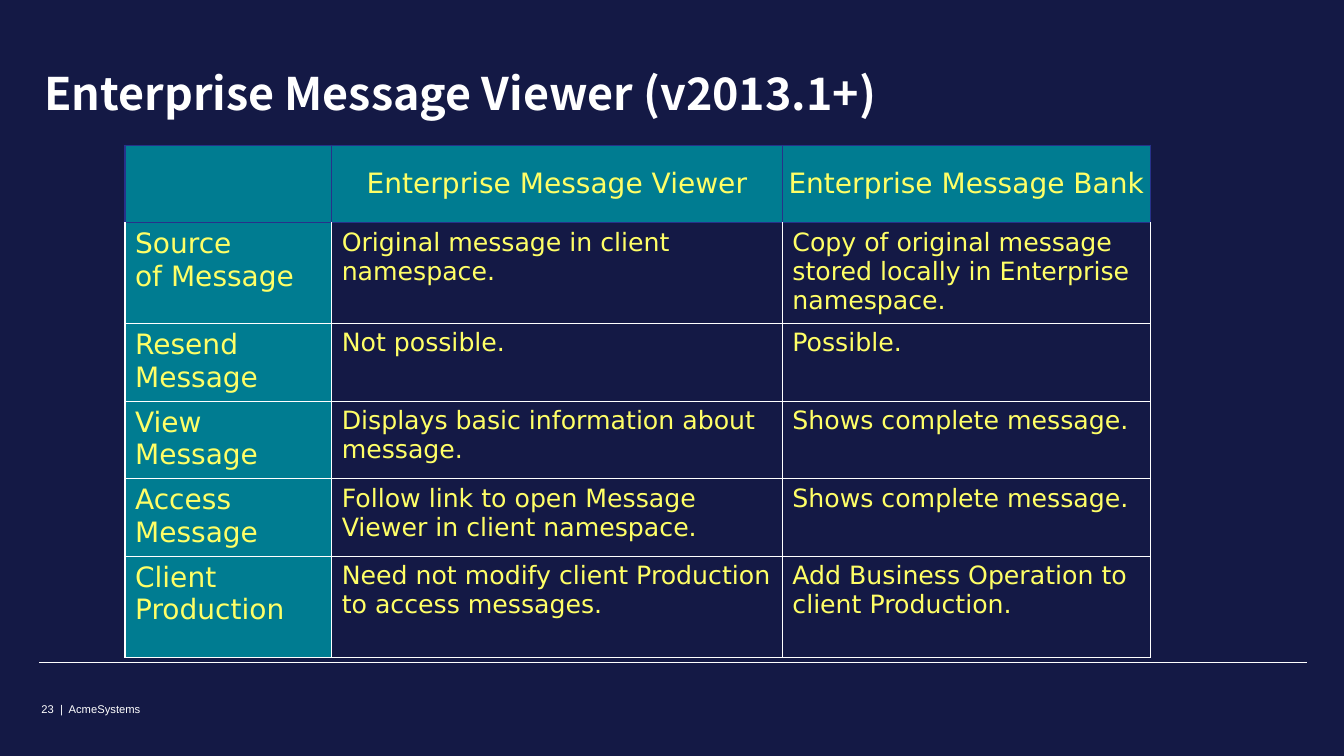
"""Build the Enterprise Message Viewer comparison slide."""
import lxml.etree
import pptx
import pptx.dml.color
import pptx.enum.shapes
import pptx.enum.text
import pptx.oxml.ns
import pptx.util

THEME = {
    "navy": "141945", "teal": "007C91", "yellow": "FFFF66", "white": "FFFFFF", "blue": "27318A",
    "title_font": "Noto Sans CJK SC", "table_font": "DejaVu Sans", "footer_font": "Arial",
    "title": 32, "heading": 20, "body": 18, "footer": 8,
}
W, H = 13.33, 7.5
MARGIN = 0.39
CONTENT = 12.57
COLUMNS = [2.05, 4.47, 3.65]
SHORT, TALL = 0.77, 1
ROWS = [SHORT, TALL, SHORT, SHORT, SHORT, TALL]
TABLE_LEFT, TABLE_TOP = 1.24, 1.44
INCH = pptx.util.Inches
ANCHOR = pptx.enum.text.MSO_ANCHOR

TABLE = [
    ["", "Enterprise Message Viewer", "Enterprise Message Bank"],
    ["Source\nof Message", "Original message in client namespace.",
     "Copy of original message stored locally in Enterprise namespace."],
    ["Resend\nMessage", "Not possible.", "Possible."],
    ["View\nMessage", "Displays basic information about message.", "Shows complete message."],
    ["Access\nMessage", "Follow link to open Message Viewer in client namespace.",
     "Shows complete message."],
    ["Client Production", "Need not modify client Production to access messages.",
     "Add Business Operation to client Production."],
]


def rgb(name):
    return pptx.dml.color.RGBColor.from_string(THEME[name])


def style(tf, size, font, color, bold=False):
    for p in tf.paragraphs:
        for f in [p.font] + [r.font for r in p.runs]:
            f.size = pptx.util.Pt(THEME[size])
            f.name = THEME[font]
            f.bold = bold
            f.color.rgb = rgb(color)


prs = pptx.Presentation()
prs.slide_width, prs.slide_height = INCH(W), INCH(H)
s = prs.slides.add_slide(prs.slide_layouts[6])
s.background.fill.solid()
s.background.fill.fore_color.rgb = rgb("navy")

tf = s.shapes.add_textbox(INCH(MARGIN), INCH(6.95), INCH(4.7), INCH(0.18)).text_frame
tf.word_wrap = True
tf.margin_left = tf.margin_right = tf.margin_top = tf.margin_bottom = INCH(0.02)
tf.text = "23  |  AcmeSystems"
tf.paragraphs[0].space_before = pptx.util.Pt(3)
tf.paragraphs[0].space_after = pptx.util.Pt(4)
style(tf, "footer", "footer_font", "white")

rule = s.shapes.add_connector(pptx.enum.shapes.MSO_CONNECTOR.STRAIGHT, INCH(MARGIN), INCH(6.57),
                              INCH(MARGIN + CONTENT), INCH(6.57))
rule.line.color.rgb = rgb("white")
rule.line.width = pptx.util.Pt(0.75)
lxml.etree.SubElement(rule.element.spPr, pptx.oxml.ns.qn("a:effectLst"))

tf = s.shapes.add_textbox(INCH(MARGIN), INCH(0.25), INCH(CONTENT), INCH(0.94)).text_frame
tf.word_wrap = True
tf.vertical_anchor = ANCHOR.BOTTOM
tf.margin_left = tf.margin_right = tf.margin_top = INCH(0.05)
tf.margin_bottom = 0
tf.text = "Enterprise Message Viewer (v2013.1+)"
tf.paragraphs[0].line_spacing = 0.9
style(tf, "title", "title_font", "white", bold=True)

table = s.shapes.add_table(len(ROWS), len(COLUMNS), INCH(TABLE_LEFT), INCH(TABLE_TOP),
                           INCH(sum(COLUMNS)), INCH(sum(ROWS))).table
table.first_row = table.horz_banding = False
for column, width in zip(table.columns, COLUMNS):
    column.width = INCH(width)
for row, height in zip(table.rows, ROWS):
    row.height = INCH(height)

for i, texts in enumerate(TABLE):
    for j, text in enumerate(texts):
        cell = table.cell(i, j)
        header, label = i == 0, j == 0
        cell.text = text
        cell.margin_left = cell.margin_right = INCH(0 if header else 0.1)
        cell.margin_top = cell.margin_bottom = INCH(0.05)
        cell.vertical_anchor = ANCHOR.MIDDLE if header else ANCHOR.TOP
        if header:
            cell.text_frame.paragraphs[0].alignment = pptx.enum.text.PP_ALIGN.CENTER
        style(cell.text_frame, "heading" if header or label else "body", "table_font", "yellow")
        if header or label:
            cell.fill.solid()
            cell.fill.fore_color.rgb = rgb("teal")
        else:
            cell.fill.background()
        tcPr = cell._tc.get_or_add_tcPr()
        for k, side in enumerate("LRTB"):
            color = THEME["blue" if header or (i == 1 and side == "T") else "white"]
            tcPr.insert(k, pptx.oxml.parse_xml(
                f'<a:ln{side} {pptx.oxml.ns.nsdecls("a")} w="{pptx.util.Pt(1)}">'
                f'<a:solidFill><a:srgbClr val="{color}"/></a:solidFill></a:ln{side}>'))

prs.save("out.pptx")
